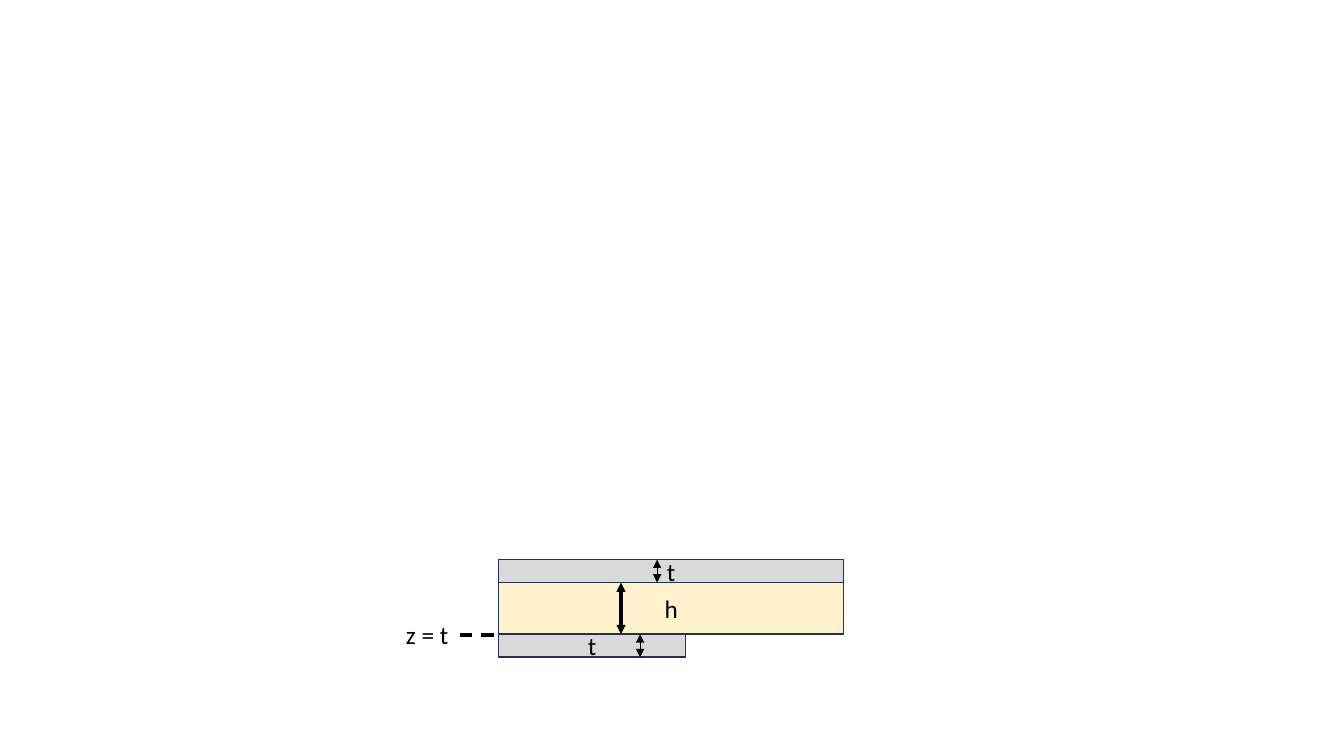
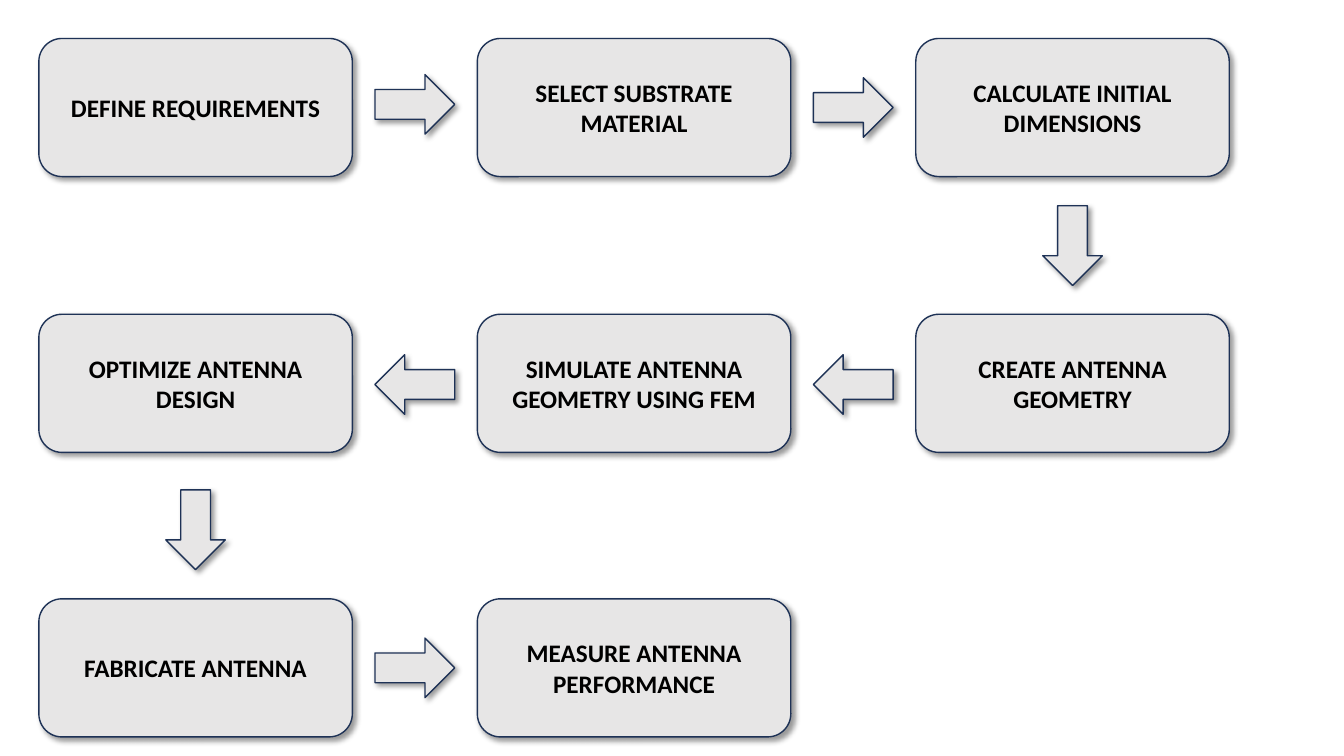
"""Build two slides: a layered antenna section and its design flow."""
from dataclasses import dataclass
from lxml.etree import SubElement
from pptx import Presentation
from pptx.dml.color import RGBColor
from pptx.enum.dml import MSO_LINE
from pptx.enum.shapes import MSO_CONNECTOR, MSO_SHAPE
from pptx.enum.text import MSO_ANCHOR, MSO_AUTO_SIZE, PP_ALIGN
from pptx.oxml.ns import qn
from pptx.util import Cm, Pt


@dataclass(frozen=True)
class Theme:
    ink: RGBColor = RGBColor.from_string("000000")
    edge: RGBColor = RGBColor.from_string("1E3256")
    metal: RGBColor = RGBColor.from_string("D9D9D9")
    core: RGBColor = RGBColor.from_string("FFF2CC")
    step: RGBColor = RGBColor.from_string("E7E6E6")
    face: str = "Calibri"
    size: Pt = Pt(18)
    rim: Pt = Pt(1)
    thin: Pt = Pt(0.5)
    thick: Pt = Pt(2.25)


theme = Theme()


def write(shape, text, align, bold=False):
    para = shape.text_frame.paragraphs[0]
    para.alignment = align
    run = para.add_run()
    run.text = text
    style = {"name": theme.face, "size": theme.size, "bold": bold}
    for key, value in style.items():
        setattr(run.font, key, value)
    run.font.color.rgb = theme.ink


def block(shapes, kind, place, fill, text="", bold=False, shade=False):
    shape = shapes.add_shape(kind, *map(Cm, place))
    shape.fill.solid()
    shape.fill.fore_color.rgb = fill
    shape.line.color.rgb = theme.edge
    shape.line.width = theme.rim
    shape.shadow.inherit = False
    if shade:
        effect = shape._element.spPr.find(qn("a:effectLst"))
        cast = SubElement(effect, qn("a:outerShdw"), blurRad="50800",
                          dist="38100", dir="2700000", algn="tl", rotWithShape="0")
        black = SubElement(cast, qn("a:srgbClr"), val=str(theme.ink))
        SubElement(black, qn("a:alpha"), val="40000")
    if text:
        frame = {"word_wrap": True, "vertical_anchor": MSO_ANCHOR.MIDDLE}
        for key, value in frame.items():
            setattr(shape.text_frame, key, value)
        write(shape, text, PP_ALIGN.CENTER, bold)


deck = Presentation()
deck.slide_width, deck.slide_height = Cm(33.87), Cm(19.05)
blank = deck.slide_layouts[6]

board = deck.slides.add_slide(blank).shapes.add_group_shape().shapes
left, full, patch = 12.57, 8.69, 4.7
sheet, depth = 0.58, 1.3
top = 14.1
upper = top + sheet
lower = upper + depth
base = lower + sheet

for y, width, height, fill, text in (
    (lower, patch, sheet, theme.metal, "t"),
    (top, full, sheet, theme.metal, "t"),
    (upper, full, depth, theme.core, "h"),
):
    block(board, MSO_SHAPE.RECTANGLE, (left, y, width, height), fill, text)

label = board.add_textbox(*map(Cm, (9.98, 15.49, 1.6, 1.02)))
frame = {"word_wrap": False, "auto_size": MSO_AUTO_SIZE.SHAPE_TO_FIT_TEXT}
for key, value in frame.items():
    setattr(label.text_frame, key, value)
write(label, "z = t", PP_ALIGN.LEFT)

for ends, width, dashed in (
    ((12.45, 16, 11.58, 16), theme.thick, True),
    ((16.13, lower, 16.13, base), theme.thin, False),
    ((15.65, upper, 15.65, lower), theme.thick, False),
    ((16.56, top, 16.56, upper), theme.thin, False),
):
    line = board.add_connector(MSO_CONNECTOR.STRAIGHT, *map(Cm, ends))
    line.line.color.rgb = theme.ink
    line.line.width = width
    SubElement(line._element.spPr, qn("a:effectLst"))
    if dashed:
        line.line.dash_style = MSO_LINE.DASH
        line.end_connect(label, 3)
    else:
        for tip in ("a:headEnd", "a:tailEnd"):
            SubElement(line.line._get_or_add_ln(), qn(tip), type="triangle")

flow = deck.slides.add_slide(blank).shapes.add_group_shape().shapes
left, pitch, wide, high = 0.98, 11.05, 7.9, 3.48
rows = (0.97, 7.92, 15.09)
long, short = 2.01, 1.5

for text, col, row in (
    ("DEFINE REQUIREMENTS", 0, 0),
    ("SELECT SUBSTRATE MATERIAL", 1, 0),
    ("CALCULATE INITIAL DIMENSIONS", 2, 0),
    ("CREATE ANTENNA GEOMETRY", 2, 1),
    ("SIMULATE ANTENNA GEOMETRY USING FEM", 1, 1),
    ("OPTIMIZE ANTENNA DESIGN", 0, 1),
    ("FABRICATE ANTENNA", 0, 2),
    ("MEASURE ANTENNA PERFORMANCE", 1, 2),
):
    place = (left + col * pitch, rows[row], wide, high)
    block(flow, MSO_SHAPE.ROUNDED_RECTANGLE, place, theme.step, text, True, True)

for kind, col, mid in (
    (MSO_SHAPE.RIGHT_ARROW, 0.5, 2.63),
    (MSO_SHAPE.RIGHT_ARROW, 1.5, 2.71),
    (MSO_SHAPE.DOWN_ARROW, 2, 6.19),
    (MSO_SHAPE.LEFT_ARROW, 1.5, 9.69),
    (MSO_SHAPE.LEFT_ARROW, 0.5, 9.69),
    (MSO_SHAPE.DOWN_ARROW, 0, 13.35),
    (MSO_SHAPE.RIGHT_ARROW, 0.5, 16.83),
):
    width, height = (short, long) if kind == MSO_SHAPE.DOWN_ARROW else (long, short)
    x = left + wide / 2 + col * pitch - width / 2
    block(flow, kind, (x, mid - height / 2, width, height), theme.step, shade=True)

deck.save("out.pptx")
